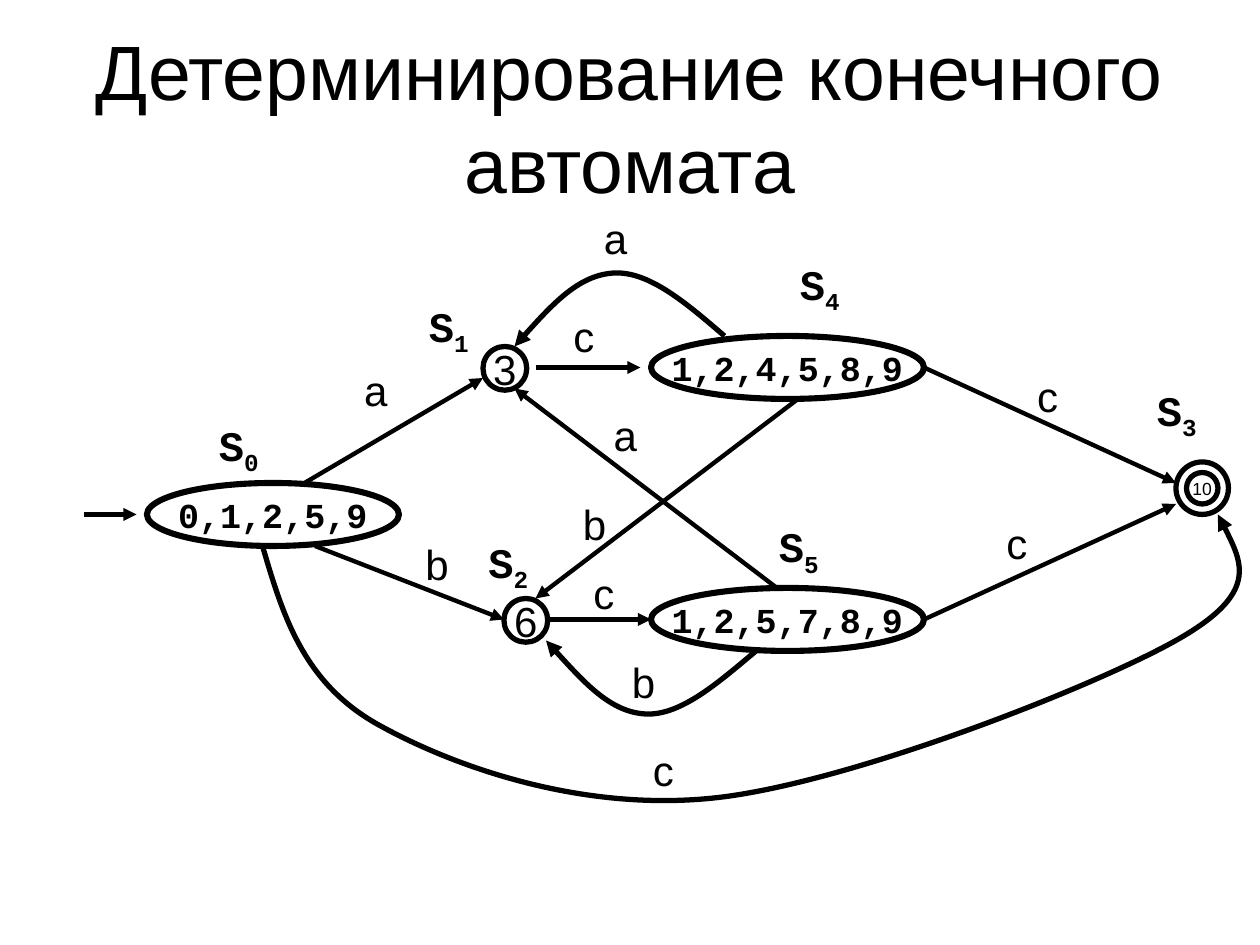
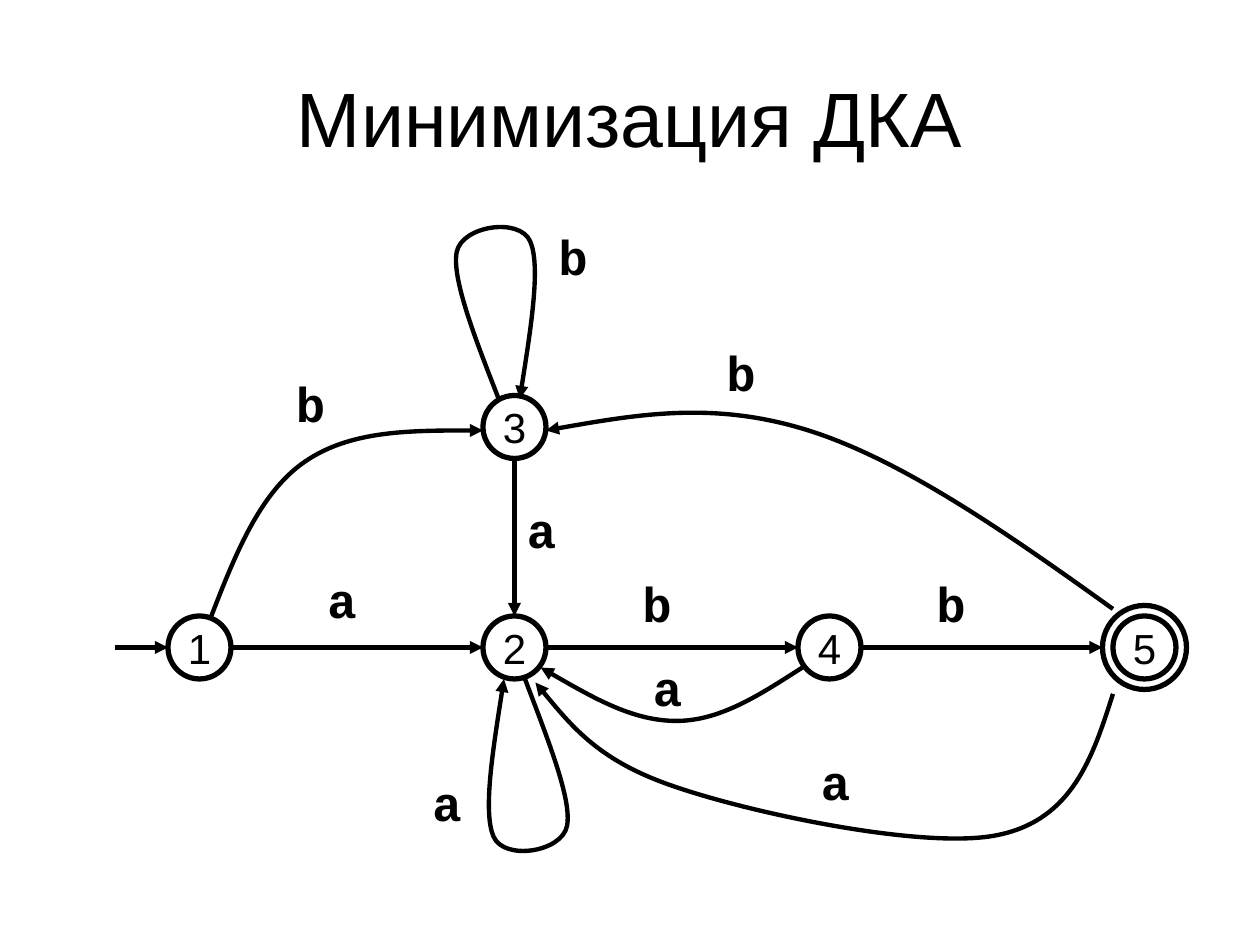
from lxml import etree
from pptx import Presentation
from pptx.dml.color import RGBColor
from pptx.enum import shapes, text
from pptx.oxml.ns import qn
from pptx.util import Pt

BLACK = RGBColor(0, 0, 0)
SANS = "Arial"
MONO = "Courier New"


def format_runs(paragraph, size, font_name, bold=False):
    for run in paragraph.runs:
        run.font.size = Pt(size)
        run.font.name = font_name
        run.font.bold = bold
        run.font.color.rgb = BLACK


def add_text(slide, words, left, top, width, height):
    frame = slide.shapes.add_textbox(Pt(left), Pt(top), Pt(width), Pt(height)).text_frame
    frame.word_wrap = True
    frame.text = words
    return frame


def add_title(slide, words, top, height):
    frame = add_text(slide, words, 36, top, 648, height)
    frame.vertical_anchor = text.MSO_ANCHOR.MIDDLE
    frame.paragraphs[0].alignment = text.PP_ALIGN.CENTER
    format_runs(frame.paragraphs[0], 44, SANS)


def add_edge_label(slide, symbol, left, top, size=24, font_name=SANS, bold=False):
    frame = add_text(slide, symbol, left, top, size + 8, size + 12)
    format_runs(frame.paragraphs[0], size, font_name, bold)


def add_state_name(slide, number, left, top):
    paragraph = add_text(slide, "S", left, top, 60, 40).paragraphs[0]
    subscript = paragraph.add_run()
    subscript.text = number
    format_runs(paragraph, 24, MONO, True)
    subscript.font._element.set("baseline", "-25000")


def add_state(slide, words, left, top, width, height, size=24,
              font_name=SANS, bold=False, line_width=3):
    shape = slide.shapes.add_shape(shapes.MSO_SHAPE.OVAL, Pt(left), Pt(top), Pt(width), Pt(height))
    shape.shadow.inherit = False
    shape.fill.background()
    shape.line.color.rgb = BLACK
    shape.line.width = Pt(line_width)
    if words:
        frame = shape.text_frame
        frame.word_wrap = False
        frame.vertical_anchor = text.MSO_ANCHOR.MIDDLE
        frame.text = words
        frame.paragraphs[0].alignment = text.PP_ALIGN.CENTER
        format_runs(frame.paragraphs[0], size, font_name, bold)


def add_arrowhead(shape, line_width):
    shape.line.color.rgb = BLACK
    shape.line.width = Pt(line_width)
    outline = shape._element.spPr.find(qn("a:ln"))
    etree.SubElement(outline, qn("a:tailEnd"), type="triangle")


def add_arrow(slide, start_x, start_y, end_x, end_y):
    connector = slide.shapes.add_connector(
        shapes.MSO_CONNECTOR.STRAIGHT, Pt(start_x), Pt(start_y), Pt(end_x), Pt(end_y))
    add_arrowhead(connector, 2.5)
    etree.SubElement(connector._element.spPr, qn("a:effectLst"))


def add_curved_arrow(slide, points, line_width):
    start, *controls = [(Pt(x), Pt(y)) for x, y in points]
    builder = slide.shapes.build_freeform(*start)
    builder.add_line_segments(controls, close=False)
    shape = builder.convert_to_shape()
    shape.shadow.inherit = False
    shape.fill.background()
    add_arrowhead(shape, line_width)
    geometry = shape._element.find(".//" + qn("a:path"))
    segments = geometry.findall(qn("a:lnTo"))
    for first in range(0, len(segments), 3):
        cubic = etree.SubElement(geometry, qn("a:cubicBezTo"))
        for segment in segments[first:first + 3]:
            cubic.append(segment[0])
            geometry.remove(segment)


def build_determinization(slide):
    add_title(slide, "Детерминирование конечного автомата", 10, 113)

    for members, left, top, width in [
        ("0,1,2,5,9", 84, 276, 144),
        ("1,2,4,5,8,9", 372, 192, 156),
        ("1,2,5,7,8,9", 372, 336, 156),
    ]:
        add_state(slide, members, left, top, width, 36, 20, MONO, True, 3.5)
    add_state(slide, "10", 672, 264, 30, 30, 10)
    add_state(slide, "", 678, 270, 18, 18)
    add_state(slide, "3", 276, 198, 25, 25)
    add_state(slide, "6", 288, 342, 25, 25)

    for ends in [
        (48, 294, 78, 294), (174, 276, 276, 216), (180, 312, 288, 354),
        (306, 210, 366, 210), (312, 354, 372, 354), (528, 210, 672, 276),
        (528, 354, 672, 288), (444, 336, 294, 222), (456, 228, 306, 342),
    ]:
        add_arrow(slide, *ends)

    for points in [
        [(150, 312), (161.5, 351), (173, 390), (216, 414), (259, 438), (332, 464), (408, 456),
         (484, 448), (624, 393), (672, 366), (720, 339), (708, 317), (696, 294)],
        [(432, 372), (410.5, 390), (389, 409), (369, 408), (349, 407), (330.5, 386.5), (312, 366)],
        [(414, 192), (392.5, 173.5), (371, 155), (351, 156), (331, 157), (312.5, 177), (294, 198)],
    ]:
        add_curved_arrow(slide, points, 3)

    for number, left, top in [
        ("0", 118, 236), ("1", 238, 168), ("2", 272, 303),
        ("3", 654, 216), ("4", 450, 144), ("5", 438, 294),
    ]:
        add_state_name(slide, number, left, top)

    for symbol, left, top in [
        ("a", 201, 205), ("a", 338, 118), ("a", 343.5, 230.5),
        ("b", 236, 304), ("b", 326, 281.5), ("b", 354, 371.5),
        ("c", 332, 320.5), ("c", 366, 422), ("c", 568, 292),
        ("c", 585.5, 208), ("c", 320.5, 174),
    ]:
        add_edge_label(slide, symbol, left, top)


def build_minimization(slide):
    add_title(slide, "Минимизация ДКА", 21.5, 90)

    for column, number in enumerate("1245"):
        add_state(slide, number, 96 + 180 * column, 352, 36, 36)
    add_state(slide, "3", 276, 226, 36, 36)
    add_state(slide, "", 630, 346, 48, 48)

    for start_x, end_x in [(66, 96), (132, 276), (312, 456), (492, 630)]:
        add_arrow(slide, start_x, 370, end_x, 370)
    add_arrow(slide, 294, 262, 294, 352)

    for points in [
        [(300, 388), (313, 422.5), (327, 457), (324, 472), (321, 487),
         (288, 492), (282, 478), (276, 464), (282, 426), (288, 388)],
        [(285, 228), (271.5, 193.5), (258, 159), (261, 144), (264, 129),
         (297, 124), (303, 138), (309, 152), (303, 190), (297, 228)],
        [(636, 348), (576, 305), (516, 263), (462, 246), (408, 229), (360, 237.5), (312, 246)],
        [(120, 354), (134, 318), (148, 282), (174, 264), (200, 246), (238, 246), (276, 246)],
        [(458.5, 381.5), (435, 396.5), (412, 412), (386.5, 412),
         (361.5, 412), (335, 396.5), (309, 381.5)],
        [(636, 396.5), (624.5, 432.5), (613, 468), (571, 477), (530, 486),
         (431, 465), (387, 450), (343, 435.5), (324.5, 412.5), (306, 390)],
    ]:
        add_curved_arrow(slide, points, 2.5)

    for symbol, left, top in [
        ("a", 180, 322), ("b", 162, 210), ("b", 312, 126), ("b", 408, 192),
        ("a", 294, 282), ("b", 360, 324), ("b", 528, 324), ("a", 366, 372),
        ("a", 462, 426), ("a", 240, 438),
    ]:
        add_edge_label(slide, symbol, left, top, 28, MONO, True)


def main():
    presentation = Presentation()
    presentation.slide_width = Pt(720)
    presentation.slide_height = Pt(540)
    blank = presentation.slide_layouts[6]
    for build in (build_determinization, build_minimization):
        build(presentation.slides.add_slide(blank))
    presentation.save("out.pptx")


if __name__ == "__main__":
    main()
